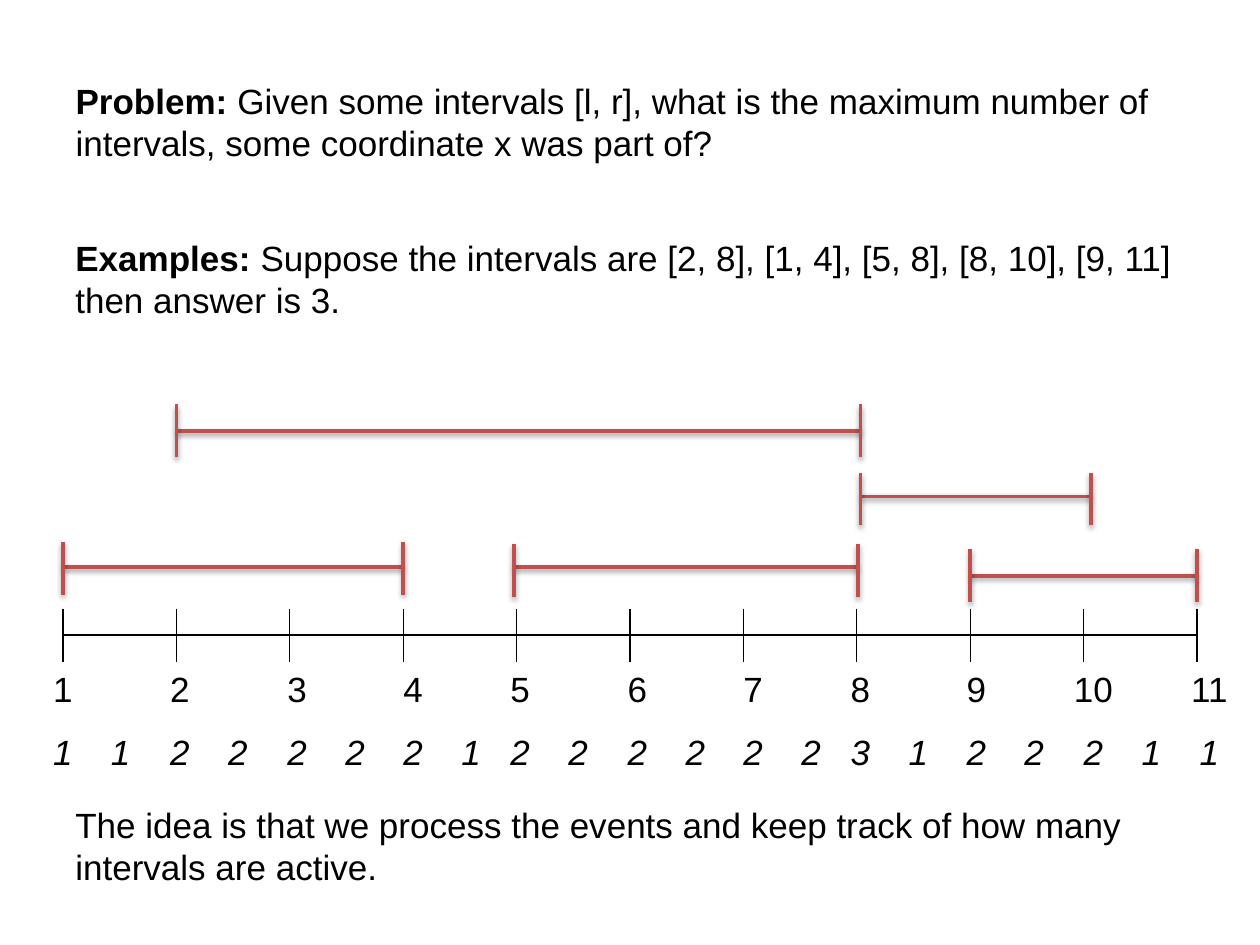
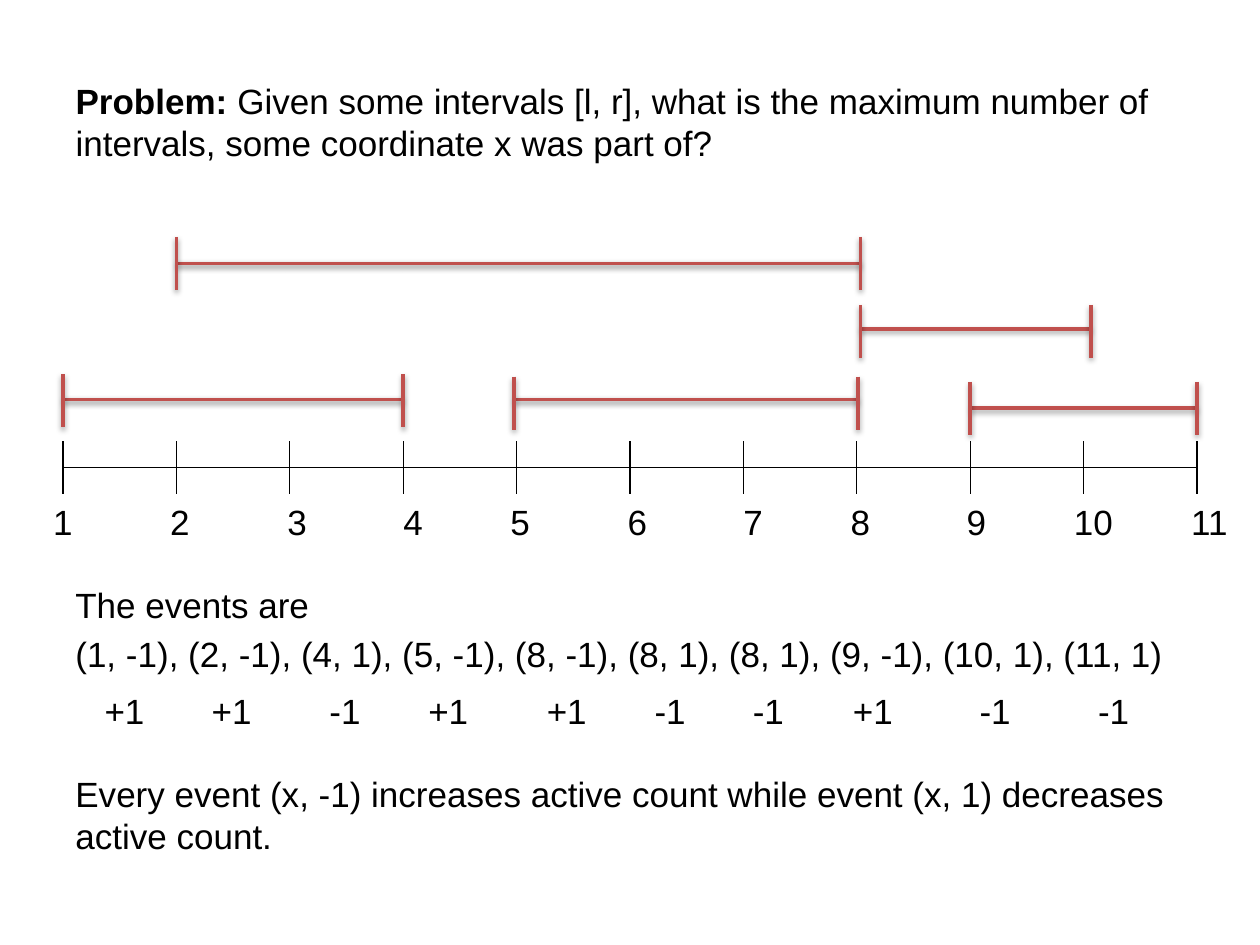
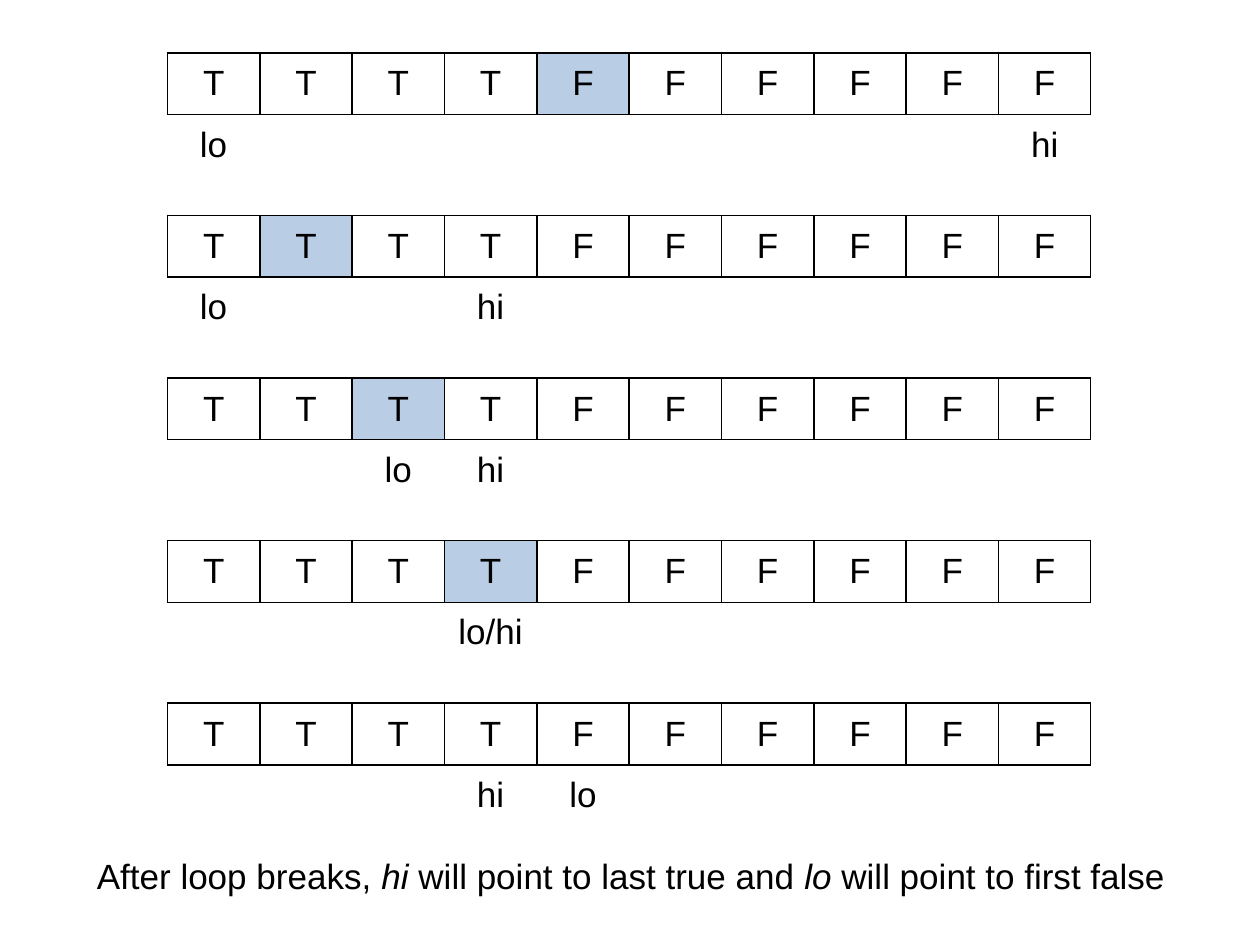
from lxml.etree import SubElement
from pptx import Presentation
from pptx.dml.color import RGBColor
from pptx.enum.shapes import MSO_CONNECTOR
from pptx.enum.text import MSO_ANCHOR, MSO_AUTO_SIZE, PP_ALIGN
from pptx.oxml.ns import qn
from pptx.util import Inches, Pt

# Shared look
BLACK, RED, BLUE = "000000", "C0504D", "B9CDE5"
FONT = {"name": "Arial", "size": Pt(20), "bold": False, "italic": False}
BOLD, ITALIC = {"bold": True}, {"italic": True}
LEFT, WIDTH, INSET = 0.5, 9, 0.1

PROBLEM = [[("Problem: ", BOLD),
            ("Given some intervals [l, r], what is the maximum number of "
             "intervals, some coordinate x was part of?", {})]]

# Number line: tick rule, label centres, intervals as (left, right, rise, cap shift)
TICK_GAP, TICK_HEIGHT, TICKS = 0.9, 0.42, 11
NUMBER_X = [0.5, 1.43, 2.36, 3.28, 4.13, 5.06, 5.98, 6.83, 7.75, 8.68, 9.6]
COUNT_X = [x + dx for x in NUMBER_X for dx in (0, 0.46)][:-1]
COUNTS = "1 1 2 2 2 2 2 1 2 2 2 2 2 2 3 1 2 2 2 1 1".split()
INTERVALS = [(0.5, 3.2, 0.54, 0.01), (4.08, 6.81, 0.54, 0.03),
             (7.7, 9.5, 0.47, 0), (6.83, 8.66, 1.1, 0.02),
             (1.4, 6.83, 1.62, 0)]

# Events and their effect on the active count
EVENTS = ("(1, -1), (2, -1), (4, 1), (5, -1), (8, -1), (8, 1), (8, 1), "
          "(9, -1), (10, 1), (11, 1)")
CHANGES = "+1 +1 -1 +1 +1 -1 -1 +1 -1 -1".split()
CHANGE_X = [0.99, 1.84, 2.74, 3.56, 4.5, 5.32, 6.1, 6.93, 7.9, 8.84]

# Binary search: highlighted column, then a label per column
VALUES = "TTTTFFFFFF"
STEPS = [(4, {0: "lo", 9: "hi"}), (1, {0: "lo", 3: "hi"}),
         (2, {2: "lo", 3: "hi"}), (3, {3: "lo/hi"}),
         (None, {3: "hi", 4: "lo"})]
ARRAY_LEFT, ARRAY_TOP, ARRAY_WIDTH, ARRAY_HEIGHT = 1.33, 0.42, 7.33, 0.49
STEP_GAP = 1.29
COL_WIDTH = ARRAY_WIDTH / len(VALUES)


def rgb(color):
    return RGBColor.from_string(color)


def add_run(p, text, **changes):
    r = p.add_run()
    r.text = text
    for name, value in {**FONT, **changes}.items():
        setattr(r.font, name, value)
    r.font.color.rgb = rgb(BLACK)


def fill_text(sp, paragraphs, before=4):
    tf = sp.text_frame
    tf.word_wrap = True
    tf.auto_size = MSO_AUTO_SIZE.NONE
    tf.vertical_anchor = MSO_ANCHOR.TOP
    for i, runs in enumerate(paragraphs):
        p = tf.add_paragraph() if i else tf.paragraphs[0]
        p.alignment = PP_ALIGN.LEFT
        p.space_before = Pt(before)
        for text, changes in runs:
            add_run(p, text, **changes)


def add_text(slide, paragraphs, top, left=LEFT, width=WIDTH, height=1, before=4):
    sp = slide.shapes.add_textbox(*map(Inches, (left, top, width, height)))
    fill_text(sp, paragraphs, before)
    return sp


def add_spread_text(slide, words, centres, top, left, width, changes=None, **box):
    """One line of words, each centred on its own tab stop."""
    text = "".join("\t" + word for word in words)
    sp = add_text(slide, [[(text, changes or {})]], top, left, width, **box)
    pPr = sp.text_frame.paragraphs[0]._p.get_or_add_pPr()
    tabs = SubElement(pPr, qn("a:tabLst"))
    for x in centres:
        SubElement(tabs, qn("a:tab"), pos=str(Inches(x - left - INSET)), algn="ctr")


def add_problem(slide):
    title = slide.shapes.title
    box = {"left": LEFT, "top": 0.58, "width": WIDTH, "height": 1}
    for name, value in box.items():
        setattr(title, name, Inches(value))
    fill_text(title, PROBLEM)


def add_line(slide, x1, y1, x2, y2, color=BLACK, weight=0.75, shadow=False):
    line = slide.shapes.add_connector(MSO_CONNECTOR.STRAIGHT,
                                      *map(Inches, (x1, y1, x2, y2)))
    line.line.color.rgb = rgb(color)
    line.line.width = Pt(weight)
    effects = SubElement(line._element.spPr, qn("a:effectLst"))
    if shadow:
        outer = SubElement(effects, qn("a:outerShdw"), blurRad=str(Pt(3.1)),
                           dist=str(Pt(1.6)), dir="5400000", rotWithShape="0")
        clr = SubElement(outer, qn("a:srgbClr"), val=BLACK)
        SubElement(clr, qn("a:alpha"), val="38000")


def add_upright(slide, x, y, **look):
    add_line(slide, x, y - TICK_HEIGHT / 2, x, y + TICK_HEIGHT / 2, **look)


def add_number_line(slide, y):
    add_line(slide, LEFT, y, LEFT + WIDTH, y)
    for i in range(TICKS):
        add_upright(slide, LEFT + i * TICK_GAP, y)
    numbers = [str(i + 1) for i in range(TICKS)]
    add_spread_text(slide, numbers, NUMBER_X, y + 0.21, 0.25, 9.67, height=0.42)

    look = {"color": RED, "weight": 2, "shadow": True}
    for x1, x2, rise, shift in INTERVALS:
        add_line(slide, x1, y - rise, x2, y - rise, **look)
        for x in (x1, x2):
            add_upright(slide, x, y - rise + shift, **look)


def add_borders(cell):
    tcPr = cell._tc.get_or_add_tcPr()
    for side in ("lnL", "lnR", "lnT", "lnB"):
        ln = SubElement(tcPr, qn("a:" + side), w=str(Pt(1)))
        fill = SubElement(ln, qn("a:solidFill"))
        SubElement(fill, qn("a:srgbClr"), val=BLACK)


def add_array(slide, top, marked):
    box = (ARRAY_LEFT, top, ARRAY_WIDTH, ARRAY_HEIGHT)
    table = slide.shapes.add_table(1, len(VALUES), *map(Inches, box)).table
    table.first_row = table.horz_banding = False
    for i, value in enumerate(VALUES):
        table.columns[i].width = Inches(COL_WIDTH)
        cell = table.cell(0, i)
        cell.vertical_anchor = MSO_ANCHOR.MIDDLE
        add_borders(cell)
        if i == marked:
            cell.fill.solid()
            cell.fill.fore_color.rgb = rgb(BLUE)
        else:
            cell.fill.background()
        p = cell.text_frame.paragraphs[0]
        p.alignment = PP_ALIGN.CENTER
        add_run(p, value)


def add_counts_slide(prs):
    slide = prs.slides.add_slide(prs.slide_layouts[5])
    add_problem(slide)
    add_text(slide, [[("Examples: ", BOLD),
                      ("Suppose the intervals are [2, 8], [1, 4], [5, 8], "
                       "[8, 10], [9, 11] then answer is 3.", {})]], 1.83)
    add_number_line(slide, 5.04)
    add_text(slide, [[("The idea is that we process the events and keep track "
                       "of how many intervals are active.", {})]], 6.33)
    add_spread_text(slide, COUNTS, COUNT_X, 5.75, 0.25, 9.67, ITALIC, height=0.42)


def add_events_slide(prs):
    slide = prs.slides.add_slide(prs.slide_layouts[5])
    add_problem(slide)
    add_number_line(slide, 3.71)
    add_text(slide, [[("The events are", {})], [(EVENTS, {})]], 4.58)
    add_spread_text(slide, CHANGES, CHANGE_X, 5.42, LEFT, WIDTH, height=0.67)
    add_text(slide, [[("Every event (x, -1) increases active count while event "
                       "(x, 1) decreases active count.", {})]], 6.08)


def add_search_slide(prs):
    slide = prs.slides.add_slide(prs.slide_layouts[6])
    for i, (marked, labels) in enumerate(STEPS):
        top = ARRAY_TOP + i * STEP_GAP
        add_array(slide, top, marked)
        centres = [ARRAY_LEFT + (col + 0.5) * COL_WIDTH for col in labels]
        add_spread_text(slide, labels.values(), centres, top + 0.5,
                        ARRAY_LEFT, ARRAY_WIDTH, height=0.44, before=0)
    add_text(slide, [[("After loop breaks, ", {}), ("hi", ITALIC),
                      (" will point to last true and ", {}), ("lo", ITALIC),
                      (" will point to first false", {})]],
             6.73, 0.67, 8.75, 0.44, before=0)


def main():
    prs = Presentation()
    prs.slide_width, prs.slide_height = Inches(10), Inches(7.5)
    add_counts_slide(prs)
    add_events_slide(prs)
    add_search_slide(prs)
    prs.save("out.pptx")


if __name__ == "__main__":
    main()
